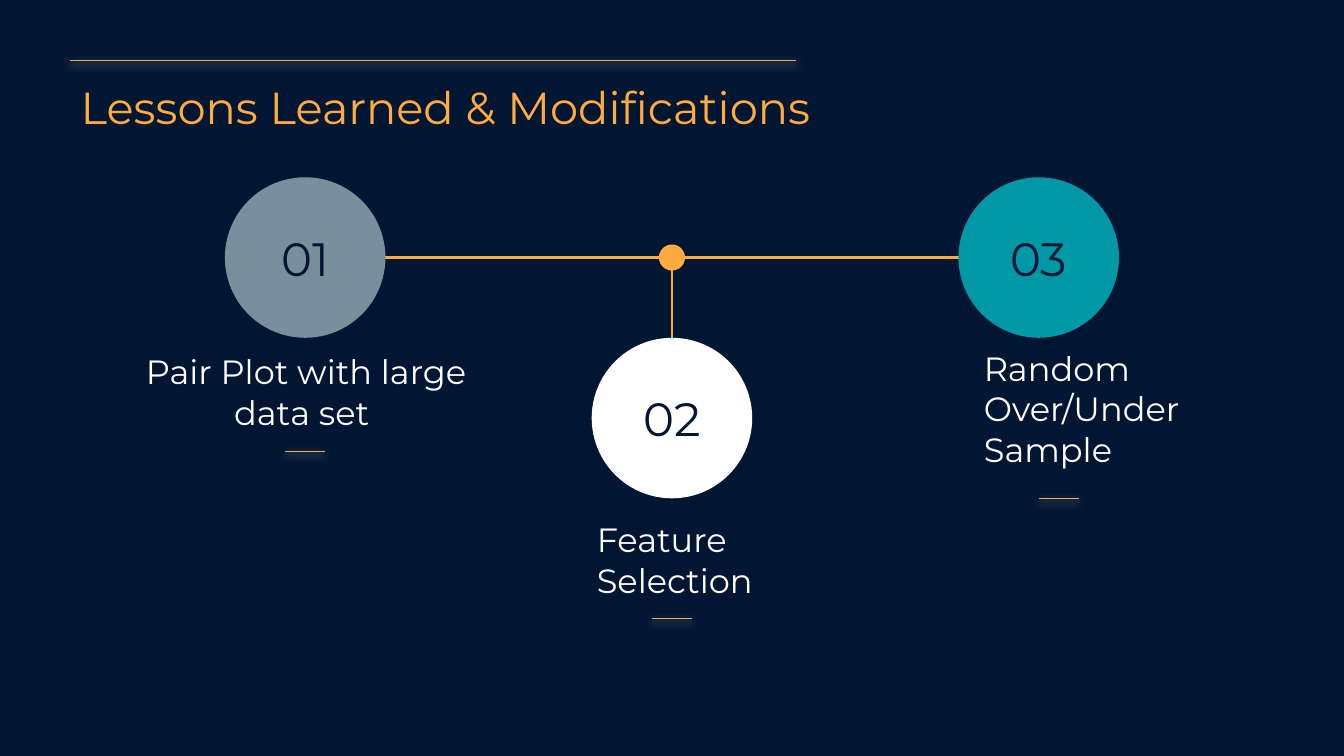
"""Build the lessons learned slide with three linked circles."""
from lxml import etree
from pptx import Presentation
from pptx.dml.color import RGBColor
from pptx.enum import shapes, text
from pptx.oxml import ns
from pptx.util import Pt

NAVY = RGBColor(0x00, 0x16, 0x33)
AMBER = RGBColor(0xFF, 0xAB, 0x40)
TEAL = RGBColor(0x00, 0x97, 0xA7)
SLATE = RGBColor(0x78, 0x90, 0x9C)
WHITE = RGBColor(0xFF, 0xFF, 0xFF)

LEFT = text.PP_ALIGN.LEFT
MID = text.PP_ALIGN.CENTER
TOP = text.MSO_ANCHOR.TOP
CORE = text.MSO_ANCHOR.MIDDLE
BASE = text.MSO_ANCHOR.BOTTOM


class Deck:
    face = "Montserrat"
    inset = Pt(7.2)

    def __init__(self, wide, high):
        self.prs = Presentation()
        self.prs.slide_width, self.prs.slide_height = Pt(wide), Pt(high)
        self.slide = self.prs.slides.add_slide(self.prs.slide_layouts[5])
        fill = self.slide.background.fill
        fill.solid()
        fill.fore_color.rgb = NAVY

    def style(self, shape, words, size, color, align, anchor):
        frame = shape.text_frame
        frame.text = words
        form = dict.fromkeys(
            ("margin_left", "margin_top", "margin_right", "margin_bottom"), self.inset)
        form.update(word_wrap=True, auto_size=text.MSO_AUTO_SIZE.NONE,
                    vertical_anchor=anchor)
        for key, value in form.items():
            setattr(frame, key, value)
        for para in frame.paragraphs:
            para.alignment = align
            for run in para.runs:
                for key, value in {"name": self.face, "size": Pt(size)}.items():
                    setattr(run.font, key, value)
                run.font.color.rgb = color

    def title(self, words, box):
        shape = self.slide.shapes.title
        for key, value in zip(("left", "top", "width", "height"), box):
            setattr(shape, key, Pt(value))
        self.style(shape, words, 24, AMBER, LEFT, TOP)

    def label(self, words, box, align=LEFT):
        shape = self.slide.shapes.add_textbox(*map(Pt, box))
        self.style(shape, words, 18, WHITE, align, BASE)

    def disc(self, x, y, size, color, words=""):
        shape = self.slide.shapes.add_shape(
            shapes.MSO_SHAPE.OVAL, Pt(x - size / 2), Pt(y - size / 2), Pt(size), Pt(size))
        shape.shadow.inherit = False
        shape.fill.solid()
        shape.fill.fore_color.rgb = color
        shape.line.fill.background()
        if words:
            self.style(shape, words, 25, NAVY, MID, CORE)

    def line(self, start, end, width=1.6):
        shape = self.slide.shapes.add_connector(
            shapes.MSO_CONNECTOR.STRAIGHT, *map(Pt, (*start, *end)))
        shape.line.color.rgb = AMBER
        shape.line.width = Pt(width)
        return etree.SubElement(shape._element.spPr, ns.qn("a:effectLst"))

    def rule(self, x, y, width):
        effect = self.line((x, y), (x + width, y), 0.75)
        glow = etree.SubElement(
            effect, ns.qn("a:outerShdw"), blurRad=str(Pt(4.5)), dist=str(Pt(1.5)),
            dir="5400000", algn="bl", rotWithShape="0")
        tint = etree.SubElement(glow, ns.qn("a:srgbClr"), val=str(WHITE))
        etree.SubElement(tint, ns.qn("a:alpha"), val="50000")


def main():
    deck = Deck(720, 405)
    deck.rule(37.5, 32.5, 389)
    deck.title("Lessons Learned & Modifications", (36, 35.5, 630, 37.5))

    mid, gap, size = 360, 196.5, 86
    high = 138
    low = high + size
    deck.line((mid - gap, high), (mid + gap, high))
    deck.line((mid, high), (mid, low))
    deck.disc(mid, high, 14, AMBER)

    steps = [
        (mid - gap, high, SLATE, "Pair Plot with large data set ",
         (57, 189.5, 214, 49), MID, mid - gap - 10.75, 242),
        (mid, low, WHITE, "Feature Selection",
         (312.7, 285, 128, 43.5), LEFT, mid - 10.75, 331.5),
        (mid + gap, high, TEAL, "Random\nOver/Under Sample",
         (520, 189.5, 179, 69), LEFT, mid + gap, 267),
    ]
    for num, (x, y, color, words, box, align, left, top) in enumerate(steps, 1):
        deck.disc(x, y, size, color, f"{num:02}")
        deck.label(words, box, align)
        deck.rule(left, top, 21.5)
    deck.prs.save("out.pptx")


if __name__ == "__main__":
    main()
